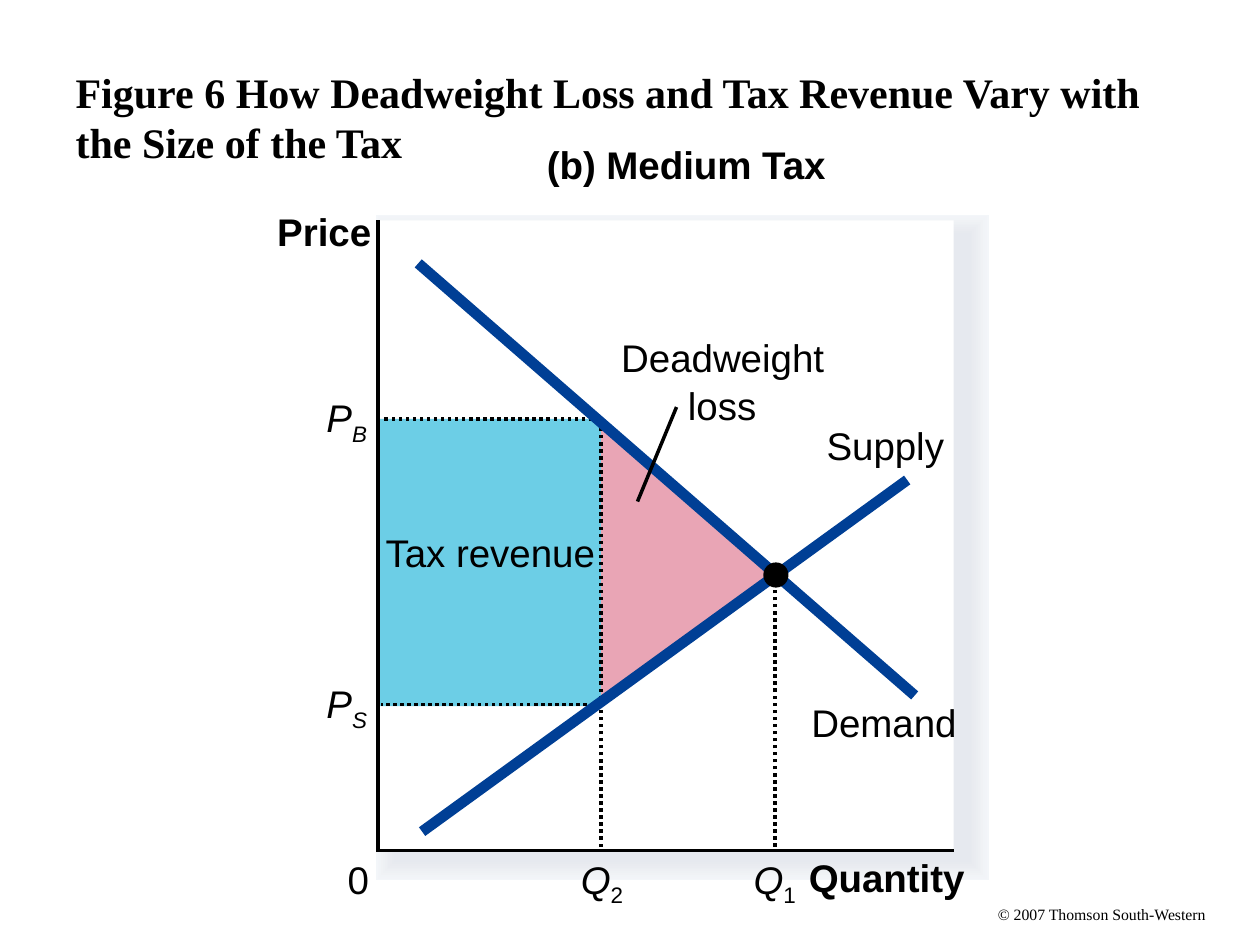
from pptx import Presentation
from pptx.dml.color import RGBColor
from pptx.enum.dml import MSO_LINE
from pptx.enum.shapes import MSO_CONNECTOR, MSO_SHAPE
from pptx.enum.text import MSO_ANCHOR, MSO_AUTO_SIZE, PP_ALIGN
from pptx.oxml.ns import qn
from pptx.util import Pt
from lxml.etree import SubElement

BLACK, WHITE, CURVE = "000000", "FFFFFF", "003F95"
REVENUE, LOSS = "6CCEE6", "E9A5B5"
SHADOW = ["F3F6F9", "F2F4F8", "F1F4F7", "F0F2F5", "EEF1F4", "EDEFF3",
          "EBEEF2", "EAECF1", "E9EBF0", "E7EAEF", "E6E9EF"]
LABEL = {"size": Pt(22), "name": "Arial"}
BOLD = LABEL | {"bold": True}
ITALIC = LABEL | {"italic": True}


def color(hex_text):
    return RGBColor.from_string(hex_text)


def add_run(paragraph, text, formats, subscript=False):
    run = paragraph.add_run()
    run.text = text
    for name, value in formats.items():
        setattr(run.font, name, value)
    run.font.color.rgb = color(BLACK)
    if subscript:
        run._r.get_or_add_rPr().set("baseline", "-25000")


def add_label(slide, left, top, width, height, text, formats,
              subscript="", subscript_formats=None):
    shape = slide.shapes.add_textbox(Pt(left), Pt(top), Pt(width), Pt(height))
    frame = shape.text_frame
    frame.word_wrap = False
    frame.auto_size = MSO_AUTO_SIZE.SHAPE_TO_FIT_TEXT
    for side in ("left", "top", "right", "bottom"):
        setattr(frame, f"margin_{side}", 0)
    add_run(frame.paragraphs[0], text, formats)
    if subscript:
        add_run(frame.paragraphs[0], subscript, subscript_formats or formats, True)


def style_shape(shape, fill=None, line=None, weight=2, dash=None):
    shape.shadow.inherit = False
    if fill:
        shape.fill.solid()
        shape.fill.fore_color.rgb = color(fill)
    else:
        shape.fill.background()
    if line:
        shape.line.color.rgb = color(line)
        shape.line.width = Pt(weight)
        shape.line.dash_style = dash
        # Square corners
        SubElement(shape._element.spPr.find(qn("a:ln")), qn("a:miter"), lim="800000")
    else:
        shape.line.fill.background()


def add_block(slide, kind, left, top, width, height, **style):
    shape = slide.shapes.add_shape(kind, Pt(left), Pt(top), Pt(width), Pt(height))
    style_shape(shape, **style)


def add_path(slide, points, close=False, **style):
    start, *rest = [(Pt(x), Pt(y)) for x, y in points]
    builder = slide.shapes.build_freeform(*start)
    builder.add_line_segments(rest, close=close)
    style_shape(builder.convert_to_shape(), **style)


def add_line(slide, start, end, line=BLACK, weight=2, dash=None):
    connector = slide.shapes.add_connector(
        MSO_CONNECTOR.STRAIGHT, *(Pt(value) for value in (*start, *end)))
    connector.line.color.rgb = color(line)
    connector.line.width = Pt(weight)
    connector.line.dash_style = dash
    SubElement(connector._element.spPr, qn("a:effectLst"))


def add_title(slide, left, top, width, height):
    title = slide.shapes.title
    title.left, title.top, title.width, title.height = map(Pt, (left, top, width, height))
    frame = title.text_frame
    frame.auto_size = MSO_AUTO_SIZE.NONE
    frame.vertical_anchor = MSO_ANCHOR.MIDDLE
    paragraph = frame.paragraphs[0]
    paragraph.alignment = PP_ALIGN.LEFT
    add_run(paragraph,
            "Figure 6 How Deadweight Loss and Tax Revenue Vary with the Size of the Tax",
            {"size": Pt(24), "name": "Times New Roman", "bold": True})


def add_panel(slide, left, top, width, height):
    # Soft shadow: stacked rectangles with ever thinner outlines
    for index, shade in enumerate(SHADOW):
        add_block(slide, MSO_SHAPE.RECTANGLE, left + 10, top + 8, width - 1.4, height - 2.2,
                  fill=shade, line=shade, weight=round(22.62 - 2.06 * index, 2))
    add_block(slide, MSO_SHAPE.RECTANGLE, left, top, width, height, fill=WHITE)


def add_market(slide, left, top, width, height):
    def at(x, y):
        return left + x, top + y

    quantity, buyer, seller = 127.4, 113.4, 276.5
    balance_x, balance_y = 227, 203.4
    dots = MSO_LINE.ROUND_DOT  # sysDot

    # Deadweight loss and tax revenue areas
    add_path(slide, [at(quantity, buyer), at(quantity, seller), at(balance_x + 1, balance_y)],
             close=True, fill=LOSS)
    add_block(slide, MSO_SHAPE.RECTANGLE, *at(0, buyer), quantity, seller - buyer + 1,
              fill=REVENUE)

    # Axes
    add_path(slide, [at(0, 0), at(0, height), at(width, height)], line=BLACK)

    # Dotted guides
    add_path(slide, [at(quantity, height - 2), at(quantity, buyer), at(2, buyer)],
             line=BLACK, dash=dots)
    add_line(slide, at(quantity, seller), at(2, seller), dash=dots)

    # Supply and demand, with the equilibrium
    add_line(slide, at(302.4, 148.3), at(25.2, 349.2), CURVE, 6.12)
    add_line(slide, at(23, 24.5), at(306.7, 271.4), CURVE, 6.12)
    add_line(slide, at(balance_x, height - 2), at(balance_x, balance_y), dash=dots)
    add_block(slide, MSO_SHAPE.OVAL, *at(balance_x - 6.8, balance_y - 8), 14.4, 14.4, fill=BLACK)

    # Pointer to the deadweight loss
    add_line(slide, at(170.6, 106.6), at(148.3, 160.6))

    # Plain labels: x, y, width, text, format
    for x, y, label_width, text, formats in [
            (96.5, -45.4, 161.3, "(b) Medium Tax", BOLD),
            (-57.6, -7.2, 54, "Price", BOLD),
            (246.2, 362.2, 89.3, "Quantity", BOLD),
            (-17.3, 362.9, 12.2, "0", LABEL),
            (4.4, 176.4, 122.4, "Tax revenue", LABEL),
            (256.3, 115.2, 68, "Supply", LABEL),
            (247.7, 273.6, 83.5, "Demand", LABEL),
            (139, 64.8, 116.5, "Deadweight", LABEL),
            (177.1, 92.2, 39.5, "loss", LABEL)]:
        add_label(slide, *at(x, y), label_width, 26.6, text, formats)

    # Labels with a subscript
    for x, y, label_width, text, subscript, formats in [
            (-29.5, 99.4, 23.5, "P", "B", ITALIC),
            (-29.5, 262.8, 23.5, "P", "S", ITALIC),
            (115.9, 362.9, 24.5, "Q", "2", LABEL),
            (214.6, 362.9, 24.5, "Q", "1", LABEL)]:
        add_label(slide, *at(x, y), label_width, 30.2, text, ITALIC, subscript, formats)


def main():
    presentation = Presentation()
    presentation.slide_width, presentation.slide_height = Pt(720), Pt(540)
    slide = presentation.slides.add_slide(presentation.slide_layouts[5])

    add_label(slide, 570.2, 517, 119.5, 10.8, "© 2007 Thomson South-Western",
              {"size": Pt(9), "name": "Times New Roman"})
    add_title(slide, 36, 21.6, 648, 90)
    plot = (216, 126, 329, 360)
    add_panel(slide, *plot)
    add_market(slide, *plot)
    presentation.save("out.pptx")


if __name__ == "__main__":
    main()
